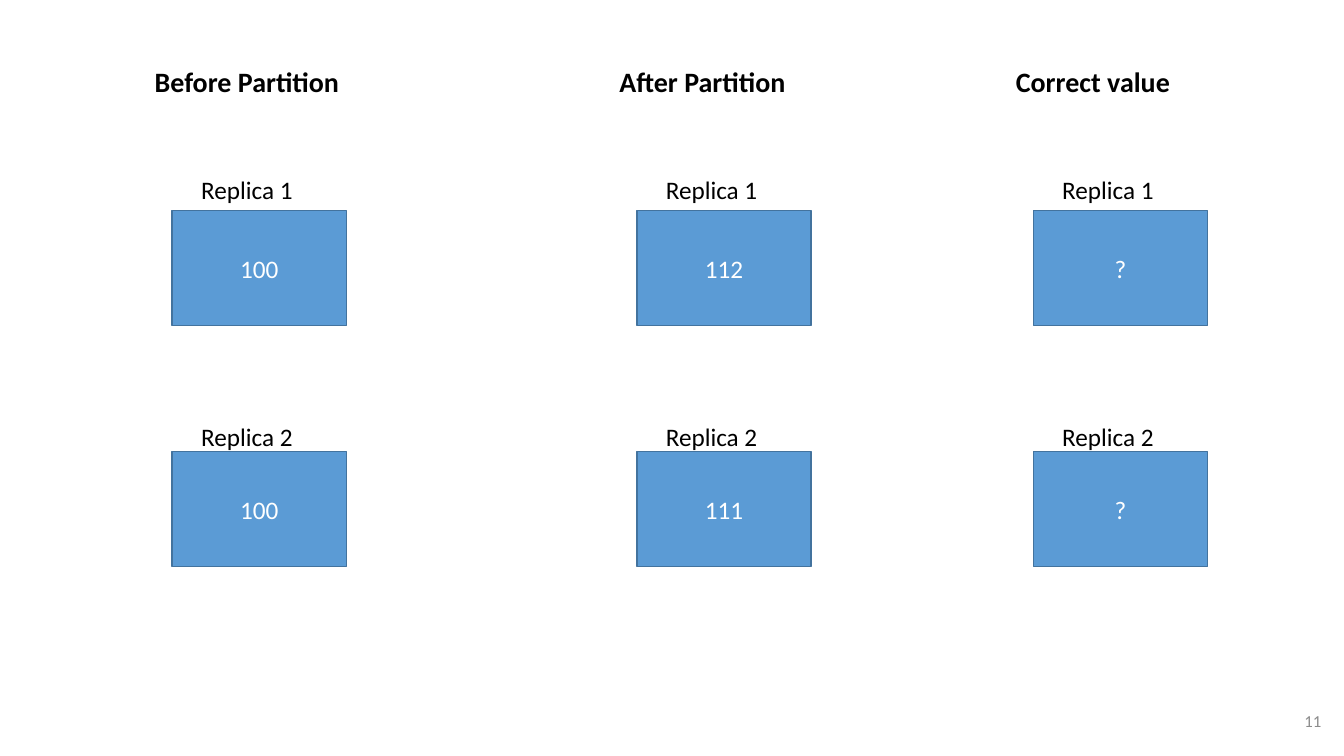
from dataclasses import dataclass
from typing import Any

import pptx
import pptx.dml.color
import pptx.enum.shapes
import pptx.enum.text
import pptx.util

Cm = pptx.util.Cm
Pt = pptx.util.Pt
RGBColor = pptx.dml.color.RGBColor
Align = pptx.enum.text.PP_ALIGN
Anchor = pptx.enum.text.MSO_ANCHOR
AutoSize = pptx.enum.text.MSO_AUTO_SIZE


@dataclass(frozen=True)
class Theme:
    font: str = "Calibri"
    text: RGBColor = RGBColor(0, 0, 0)
    box_text: RGBColor = RGBColor(255, 255, 255)
    box_fill: RGBColor = RGBColor(0x5B, 0x9B, 0xD5)
    box_line: RGBColor = RGBColor(0x43, 0x73, 0x9E)
    page_number: RGBColor = RGBColor(0x8C, 0x8C, 0x8C)
    heading_size: Pt = Pt(20)
    body_size: Pt = Pt(18)
    page_number_size: Pt = Pt(12)


@dataclass(frozen=True)
class Frame:
    left: float
    top: float
    width: float
    height: float

    def lengths(self) -> list[Cm]:
        return [Cm(value) for value in (self.left, self.top, self.width, self.height)]


@dataclass(frozen=True)
class Replica:
    label: str
    label_top: float
    box_top: float


@dataclass(frozen=True)
class Stage:
    heading: str
    heading_width: float
    box_left: float
    values: tuple[str, str]


THEME = Theme()
REPLICAS = (Replica("Replica 1", 4.27, 5.31), Replica("Replica 2", 10.49, 11.38))
STAGES = (
    Stage("Before Partition", 5.21, 4.34, ("100", "100")),
    Stage("After Partition", 4.75, 16.05, ("112", "111")),
    Stage("Correct value", 4.45, 26.04, ("?", "?")),
)
HEADING_FORMAT = {"size": THEME.heading_size, "bold": True}
BODY_FORMAT = {"size": THEME.body_size}
PAGE_NUMBER_FORMAT = {"size": THEME.page_number_size}
LABEL_FRAME = {"word_wrap": False, "auto_size": AutoSize.SHAPE_TO_FIT_TEXT}
MIDDLE_FRAME = {"word_wrap": True, "vertical_anchor": Anchor.MIDDLE}


def set_attributes(target: Any, values: dict[str, Any]) -> None:
    for name, value in values.items():
        setattr(target, name, value)


def write_text(shape: Any, text: str, color: RGBColor, font_format: dict[str, Any],
               frame_format: dict[str, Any], alignment: Align = Align.LEFT) -> None:
    set_attributes(shape.text_frame, frame_format)
    paragraph = shape.text_frame.paragraphs[0]
    paragraph.alignment = alignment
    run = paragraph.add_run()
    run.text = text
    set_attributes(run.font, {"name": THEME.font, **font_format})
    run.font.color.rgb = color


def draw_box(shapes: Any, frame: Frame, value: str) -> None:
    shape = shapes.add_shape(pptx.enum.shapes.MSO_SHAPE.RECTANGLE, *frame.lengths())
    shape.shadow.inherit = False
    shape.fill.solid()
    shape.fill.fore_color.rgb = THEME.box_fill
    shape.line.color.rgb = THEME.box_line
    shape.line.width = Pt(1)
    write_text(shape, value, THEME.box_text, BODY_FORMAT, MIDDLE_FRAME, Align.CENTER)


def draw_label(shapes: Any, frame: Frame, text: str, font_format: dict[str, Any]) -> None:
    shape = shapes.add_textbox(*frame.lengths())
    write_text(shape, text, THEME.text, font_format, LABEL_FRAME)


def draw_stage(slide: Any, stage: Stage) -> None:
    for replica, value in zip(REPLICAS, stage.values):
        group = slide.shapes.add_group_shape()
        draw_box(group.shapes, Frame(stage.box_left, replica.box_top, 4.39, 2.9), value)
        label_frame = Frame(stage.box_left + 0.48, replica.label_top, 2.84, 1.02)
        draw_label(group.shapes, label_frame, replica.label, BODY_FORMAT)
    heading_frame = Frame(stage.box_left - 0.69, 1.5, stage.heading_width, 1.12)
    draw_label(slide.shapes, heading_frame, stage.heading, HEADING_FORMAT)


def draw_page_number(slide: Any, number: str) -> None:
    shape = slide.shapes.add_textbox(*Frame(25.93, 17.65, 7.62, 1.02).lengths())
    write_text(shape, number, THEME.page_number, PAGE_NUMBER_FORMAT, MIDDLE_FRAME, Align.RIGHT)


def main() -> None:
    presentation = pptx.Presentation()
    set_attributes(presentation, {"slide_width": Cm(33.87), "slide_height": Cm(19.05)})
    slide = presentation.slides.add_slide(presentation.slide_layouts[6])
    for stage in STAGES:
        draw_stage(slide, stage)
    draw_page_number(slide, "11")
    presentation.save("out.pptx")


if __name__ == "__main__":
    main()
